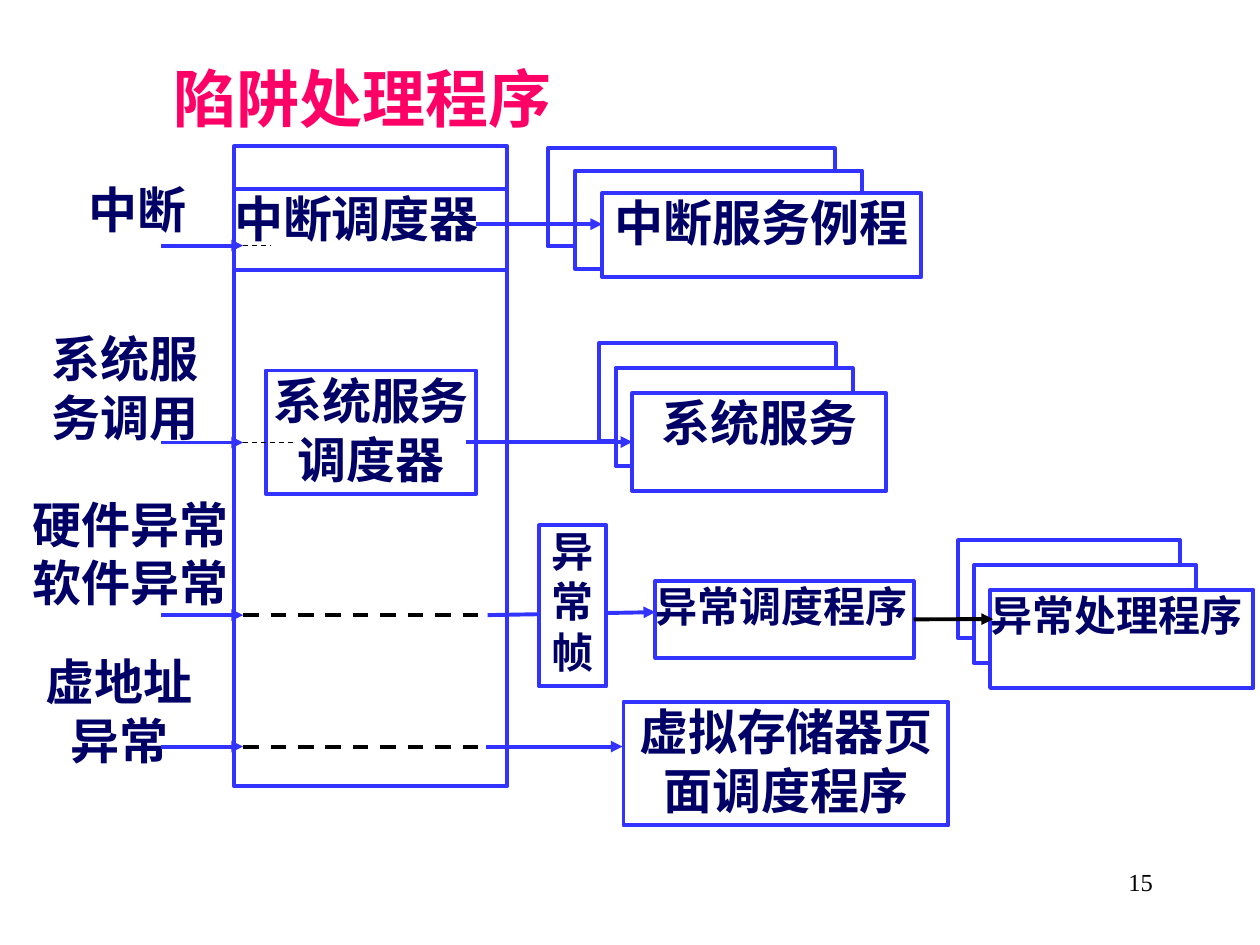
from lxml import etree
from pptx import Presentation
from pptx.dml.color import RGBColor
from pptx.enum.dml import MSO_LINE
from pptx.enum.shapes import MSO_CONNECTOR, MSO_SHAPE
from pptx.enum.text import MSO_ANCHOR, PP_ALIGN
from pptx.oxml.ns import qn
from pptx.util import Cm, Pt

RECT, STRAIGHT, DASH = MSO_SHAPE.RECTANGLE, MSO_CONNECTOR.STRAIGHT, MSO_LINE.DASH
CENTER, JUSTIFY, RIGHT = PP_ALIGN.CENTER, PP_ALIGN.JUSTIFY, PP_ALIGN.RIGHT
LEFT_SIDE, RIGHT_SIDE = 1, 3
FONT = "Times New Roman"
COLORS = {"paper": "FFFFFF", "edge": "3333FF", "text": "000066",
          "title": "FF0066", "ink": "000000"}

# All lengths are in centimetres: left, top, width, height
TITLE = ("陷阱处理程序", (3.25, 1.07, 8.26, 1.55))
PAGE_NUMBER = ("15", (18.21, 17.35, 5.28, 1.27))

# Events on the left: text, place, alignment
EVENTS = [
    ("虚地址\n异常".replace("\n", ""), (0.71, 13.13, 3.38, 2.54), CENTER),
    ("硬件异常\n软件异常", (0.51, 9.96, 4.24, 2.34), CENTER),
    ("系统服务调用", (0.71, 6.63, 3.61, 2.26), CENTER),
    ("中断", (1.78, 3.61, 2.36, 1.5), JUSTIFY),
]
TRAP_HANDLER = (4.72, 2.95, 5.51, 12.9)

# Stacked handlers: text, front place, size of the rear cards, step, font size, alignment
STACKS = [
    ("异常处理程序", (19.96, 11.89, 5.31, 1.98), (4.47, 1.98), (0.32, 0.5), 24, JUSTIFY),
    ("中断服务例程", (12.14, 3.89, 6.43, 1.7), (5.79, 1.98), (0.55, 0.45), 28, CENTER),
    ("系统服务", (12.75, 7.92, 5.11, 1.98), (4.78, 1.98), (0.34, 0.5), 28, CENTER),
]
# Single boxes: text, place, font size, alignment
BOXES = [
    ("异常调度程序", (13.21, 11.71, 5.21, 1.55), 24, JUSTIFY),
    ("虚拟存储器页面调度程序", (12.57, 14.15, 6.55, 2.49), 28, CENTER),
    ("中断调度器", (4.72, 3.81, 5.51, 1.63), 28, JUSTIFY),
    ("系统服务\n调度器", (5.36, 7.47, 4.24, 2.49), 28, CENTER),
]
EXCEPTION_FRAME = ("异常帧", (10.87, 10.59, 1.35, 3.25), 24, CENTER)

# Event levels: height, end of the dashed path, dash weight
EVENT_START, EVENT_END = 3.25, 4.9
LEVELS = [(4.95, 5.46, 0.75), (8.92, 5.99, 0.75),
          (12.4, 9.83, 2.25), (15.05, 9.8, 2.25)]
# Calls to the right: start, end, colour, box left, box reached
CALLS = [
    ((9.6, 4.52), (12.14, 4.52), "edge", None, None),
    ((9.4, 8.91), (12.75, 8.91), "edge", None, "系统服务"),
    ((9.83, 12.4), (13.21, 12.34), "edge", None, None),
    ((18.42, 12.48), (20.02, 12.48), "ink", "异常调度程序", None),
    ((9.8, 15.05), (12.55, 15.05), "edge", None, None),
]

prs = Presentation()
prs.slide_width, prs.slide_height = Cm(25.4), Cm(19.05)
slide = prs.slides.add_slide(prs.slide_layouts[6])


def write(shape, text, size, align, color="text", bold=True, margins=(0, 0)):
    frame = shape.text_frame
    frame.word_wrap = True
    frame.vertical_anchor = MSO_ANCHOR.TOP
    frame.margin_left = frame.margin_right = Cm(margins[0])
    frame.margin_top = frame.margin_bottom = Cm(margins[1])
    frame.text = text
    for paragraph in frame.paragraphs:
        paragraph.alignment = align
        paragraph.font.name = FONT
        paragraph.font.size = Pt(size)
        paragraph.font.bold = bold
        paragraph.font.color.rgb = RGBColor.from_string(COLORS[color])


def add_box(place, edge=True):
    box = slide.shapes.add_shape(RECT, *map(Cm, place))
    box.shadow.inherit = False
    box.fill.solid()
    box.fill.fore_color.rgb = RGBColor.from_string(COLORS["paper"])
    if edge:
        box.line.color.rgb = RGBColor.from_string(COLORS["edge"])
        box.line.width = Pt(2.25)
    else:
        box.line.fill.background()
    return box


def add_line(start, end, color="edge", weight=2.25, dashed=False):
    line = slide.shapes.add_connector(STRAIGHT, *map(Cm, start + end))
    line.line.color.rgb = RGBColor.from_string(COLORS[color])
    line.line.width = Pt(weight)
    if dashed:
        line.line.dash_style = DASH
    else:
        etree.SubElement(line.line._get_or_add_ln(), qn("a:tailEnd"), type="triangle")
    etree.SubElement(line._element.spPr, qn("a:effectLst"))
    return line


# Title, page number and events
write(add_box(TITLE[1], edge=False), TITLE[0], 36, JUSTIFY, "title", margins=(0.25, 0.13))
number = slide.shapes.add_textbox(*map(Cm, PAGE_NUMBER[1]))
write(number, PAGE_NUMBER[0], 14, RIGHT, "ink", bold=False, margins=(0.25, 0.13))
for text, place, align in EVENTS:
    write(add_box(place, edge=False), text, 28, align)

# Trap handler, stacks and boxes
add_box(TRAP_HANDLER)
targets = {}
for text, front, rear_size, (dx, dy), size, align in STACKS:
    for depth in (2, 1):
        add_box((front[0] - depth * dx, front[1] - depth * dy) + rear_size)
    targets[text] = add_box(front)
    write(targets[text], text, size, align)
for text, place, size, align in BOXES:
    targets[text] = add_box(place)
    write(targets[text], text, size, align)

# Event arrows and the dashed paths that continue them
for y, dash_end, weight in LEVELS:
    add_line((EVENT_START, y), (EVENT_END, y))
    add_line((EVENT_END, y), (dash_end, y), "ink", weight, dashed=True)

# Calls, with the exception frame lying over its arrow
for start, end, color, source, target in CALLS:
    call = add_line(start, end, color)
    if source:
        call.begin_connect(targets[source], RIGHT_SIDE)
    if target:
        call.end_connect(targets[target], LEFT_SIDE)
text, place, size, align = EXCEPTION_FRAME
write(add_box(place), text, size, align)

prs.save("out.pptx")
